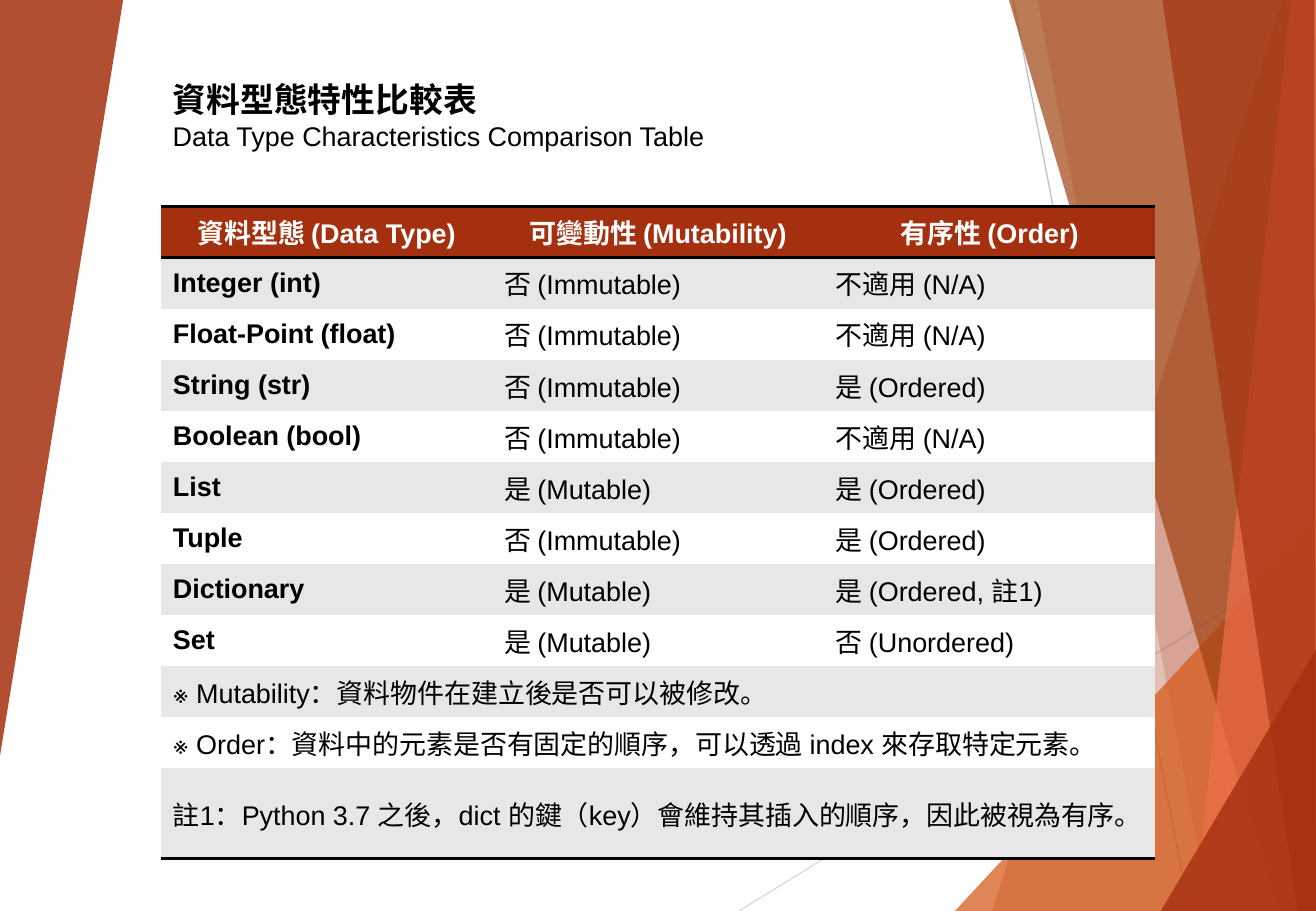
from lxml import etree
from pptx import Presentation
from pptx.dml.color import RGBColor
from pptx.enum import shapes, text
from pptx.oxml import ns
from pptx.util import Pt

FONT = "Arial"
BLACK, WHITE, GREY, RUST = "000000", "FFFFFF", "E7E7E7", "A5300F"
PLAIN_TABLE = "{2D5ABB26-0587-4C30-8999-92F81FD0307C}"

LINES = [
    ((438, 540), (780, 329), "D9D9D9"),
    ((600.5, 0), (705, 540), "BFBFBF"),
]
FACETS = [
    (RUST, 30, [(760, 0), (588, 540), (781, 540), (780, 0)]),
    (RUST, 20, [(615, 0), (717, 540), (780, 540), (780, 0)]),
    ("D55816", 72, [(566, 540), (780, 309), (780, 540)]),
    ("A04210", 70, [(598, 0), (757, 540), (780, 540), (780, 0)]),
    ("EE6E4A", 70, [(765, 0), (708, 540), (780, 540), (780, 0)]),
    (RUST, 65, [(689, 0), (769, 540), (780, 540), (779, 0)]),
    (RUST, 80, [(688, 540), (780, 385), (781, 540)]),
    (RUST, 85, [(0, 0), (73, 0), (0, 448)]),
]

HEADERS = ["資料型態 (Data Type)", "可變動性 (Mutability)", "有序性 (Order)"]
NO, YES = "否 (Immutable)", "是 (Mutable)"
UNSUITED, ORDERED = "不適用 (N/A)", "是 (Ordered)"
DATA_TYPES = [
    ("Integer (int)", NO, UNSUITED),
    ("Float-Point (float)", NO, UNSUITED),
    ("String (str)", NO, ORDERED),
    ("Boolean (bool)", NO, UNSUITED),
    ("List", YES, ORDERED),
    ("Tuple", NO, ORDERED),
    ("Dictionary", YES, "是 (Ordered, 註1)"),
    ("Set", YES, "否 (Unordered)"),
]
NOTES = [
    "※ Mutability：資料物件在建立後是否可以被修改。",
    "※ Order：資料中的元素是否有固定的順序，可以透過 index 來存取特定元素。",
    "註1：Python 3.7 之後，dict 的鍵（key）會維持其插入的順序，因此被視為有序。",
]


def colour(value):
    return RGBColor.from_string(value)


def add_line(page, start, end, value):
    line = page.shapes.add_connector(
        shapes.MSO_CONNECTOR.STRAIGHT, *(Pt(length) for length in start + end))
    line.line.color.rgb = colour(value)
    line.line.width = Pt(0.75)
    etree.SubElement(line._element.spPr, ns.qn("a:effectLst"))


def add_facet(page, value, opacity, corners):
    first, *others = [(Pt(x), Pt(y)) for x, y in corners]
    builder = page.shapes.build_freeform(*first)
    builder.add_line_segments(others, close=True)
    facet = builder.convert_to_shape()
    facet.shadow.inherit = False
    facet.line.fill.background()
    facet.fill.solid()
    facet.fill.fore_color.rgb = colour(value)
    tint = facet._element.spPr.find(".//" + ns.qn("a:srgbClr"))
    etree.SubElement(tint, ns.qn("a:alpha"), val=str(opacity * 1000))


def write(para, words, size=16, value=BLACK, bold=False):
    para.text = words
    para.font.name = FONT
    para.font.size = Pt(size)
    para.font.bold = bold
    para.font.color.rgb = colour(value)


def add_title(page):
    box = page.shapes.add_textbox(Pt(95.3), Pt(43.2), Pt(589.5), Pt(51))
    frame = box.text_frame
    frame.word_wrap = True
    write(frame.paragraphs[0], "資料型態特性比較表", size=20, bold=True)
    write(frame.add_paragraph(), "Data Type Characteristics Comparison Table")


def add_border(cell, side):
    border = etree.Element(ns.qn("a:ln" + side), w=str(Pt(2)))
    paint = etree.SubElement(border, ns.qn("a:solidFill"))
    etree.SubElement(paint, ns.qn("a:srgbClr"), val=BLACK)
    cell._tc.get_or_add_tcPr().insert(0, border)


def fill_cell(cell, value):
    cell.vertical_anchor = text.MSO_ANCHOR.MIDDLE
    cell.fill.solid()
    cell.fill.fore_color.rgb = colour(value)


def add_comparison(page):
    rows = [HEADERS, *DATA_TYPES, *([note] for note in NOTES)]
    last = len(rows) - 1
    table = page.shapes.add_table(
        len(rows), len(HEADERS), Pt(95.3), Pt(122.4), Pt(589.5), Pt(350.4)).table
    table.horz_banding = False
    table._tbl.tblPr.find(ns.qn("a:tableStyleId")).text = PLAIN_TABLE

    for index, words in enumerate(rows):
        header = index == 0
        shade = RUST if header else GREY if index % 2 else WHITE
        for cell in table.rows[index].cells:
            fill_cell(cell, shade)
            if header or index == last:
                add_border(cell, "B")
            if header:
                add_border(cell, "T")
        if len(words) == 1:
            table.cell(index, 0).merge(table.cell(index, len(HEADERS) - 1))
        for column, entry in enumerate(words):
            para = table.cell(index, column).text_frame.paragraphs[0]
            bold = header or (column == 0 and len(words) > 1)
            write(para, entry, value=WHITE if header else BLACK, bold=bold)
            if header:
                para.alignment = text.PP_ALIGN.CENTER


def main():
    deck = Presentation()
    deck.slide_width, deck.slide_height = Pt(780), Pt(540)
    page = deck.slides.add_slide(deck.slide_layouts[6])
    for line in LINES:
        add_line(page, *line)
    for facet in FACETS:
        add_facet(page, *facet)
    add_comparison(page)
    add_title(page)
    deck.save("out.pptx")


if __name__ == "__main__":
    main()
